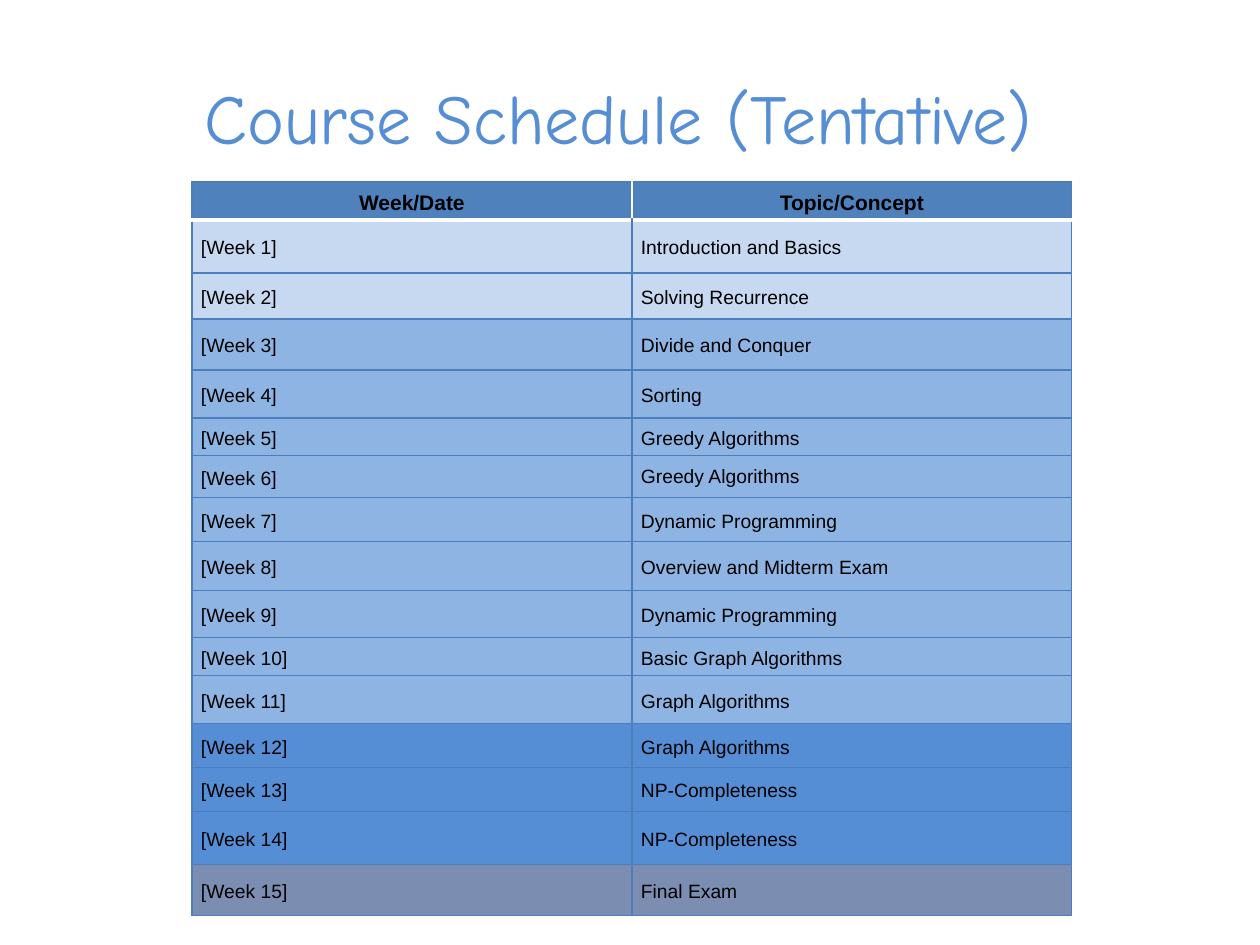
from lxml.etree import SubElement
from pptx import Presentation
from pptx.dml.color import RGBColor
from pptx.enum.text import MSO_ANCHOR, PP_ALIGN
from pptx.oxml.ns import qn
from pptx.util import Pt

PX = 914400 / 126  # EMU in one px

BLACK = RGBColor(0x00, 0x00, 0x00)
WHITE = RGBColor(0xFF, 0xFF, 0xFF)
BLUE = RGBColor(0x55, 0x8E, 0xD5)
HEADER = RGBColor(0x4F, 0x81, 0xBD)
BORDER = RGBColor(0x4B, 0x7E, 0xBC)
PALE = RGBColor(0xC6, 0xD9, 0xF1)
MEDIUM = RGBColor(0x8E, 0xB4, 0xE3)
SLATE = RGBColor(0x7B, 0x8E, 0xB2)

# Topic, row height in px and row colour for each week
WEEKS = [
    ("Introduction and Basics", 53, PALE),
    ("Solving Recurrence", 46, PALE),
    ("Divide and Conquer", 51, MEDIUM),
    ("Sorting", 48, MEDIUM),
    ("Greedy Algorithms", 38, MEDIUM),
    ("Greedy Algorithms", 42, MEDIUM),
    ("Dynamic Programming", 44, MEDIUM),
    ("Overview and Midterm Exam", 49, MEDIUM),
    ("Dynamic Programming", 47, MEDIUM),
    ("Basic Graph Algorithms", 38, MEDIUM),
    ("Graph Algorithms", 48, MEDIUM),
    ("Graph Algorithms", 44, BLUE),
    ("NP-Completeness", 44, BLUE),
    ("NP-Completeness", 53, BLUE),
    ("Final Exam", 51, SLATE),
]


def px(n):
    return round(n * PX)


def write(tf, text, size, font="Arial", color=BLACK, bold=False,
          align=PP_ALIGN.LEFT, spacing=None):
    p = tf.paragraphs[0]
    p.alignment = align
    p.line_spacing = spacing
    r = p.add_run()
    r.text = text
    r.font.name, r.font.size, r.font.bold = font, Pt(size), bold
    r.font.color.rgb = color


def set_borders(cell, **sides):
    """Each side, in the order L, R, T, B, is a (colour, points) pair."""
    tc_pr = cell._tc.get_or_add_tcPr()
    for i, (side, (color, width)) in enumerate(sides.items()):
        ln = SubElement(tc_pr, qn(f"a:ln{side}"), w=str(Pt(width)))
        fill = SubElement(ln, qn("a:solidFill"))
        SubElement(fill, qn("a:srgbClr"), val=str(color))
        tc_pr.insert(i, ln)  # borders come before the cell fill


def add_title(s, x, y, w, h):
    tf = s.shapes.add_textbox(px(x), px(y), px(w), px(h)).text_frame
    tf.word_wrap = True
    tf.vertical_anchor = MSO_ANCHOR.MIDDLE
    write(tf, "Course Schedule (Tentative) ", 40, font="Comic Neue",
          color=BLUE, align=PP_ALIGN.CENTER)


def add_schedule(s, x, y, w):
    rows = [("Week/Date", "Topic/Concept", 38, HEADER)]
    rows += [(f"[Week {n}]", *week) for n, week in enumerate(WEEKS, 1)]
    height = sum(row[2] for row in rows)
    table = s.shapes.add_table(len(rows), 2, px(x), px(y), px(w), px(height)).table
    for col in table.columns:
        col.width = px(w / 2)

    thin, thick = (BORDER, 0.75), (WHITE, 2)
    for i, (week, topic, row_h, color) in enumerate(rows):
        table.rows[i].height = px(row_h)
        for j, text in enumerate((week, topic)):
            cell = table.cell(i, j)
            cell.vertical_anchor = MSO_ANCHOR.MIDDLE
            cell.margin_left = cell.margin_right = px(9)
            cell.margin_top = cell.margin_bottom = 0
            cell.fill.solid()
            cell.fill.fore_color.rgb = color
            if i == 0:
                write(cell.text_frame, text, 12, bold=True,
                      align=PP_ALIGN.CENTER, spacing=1.15)
                outer = {"L": thin} if j == 0 else {"R": thin}
                set_borders(cell, **outer, T=thin, B=thick)
            else:
                # The Week 6 topic is single-spaced
                spacing = 1.0 if (i, j) == (6, 1) else 1.15
                write(cell.text_frame, text, 11, spacing=spacing)
                set_borders(cell, L=thin, R=thin, T=thick if i == 1 else thin, B=thin)


def main():
    prs = Presentation()
    prs.slide_width, prs.slide_height = px(1260), px(945)
    s = prs.slides.add_slide(prs.slide_layouts[6])
    add_title(s, 63, 68, 1134, 97)
    add_schedule(s, 192, 182, 880)
    prs.save("out.pptx")


if __name__ == "__main__":
    main()
